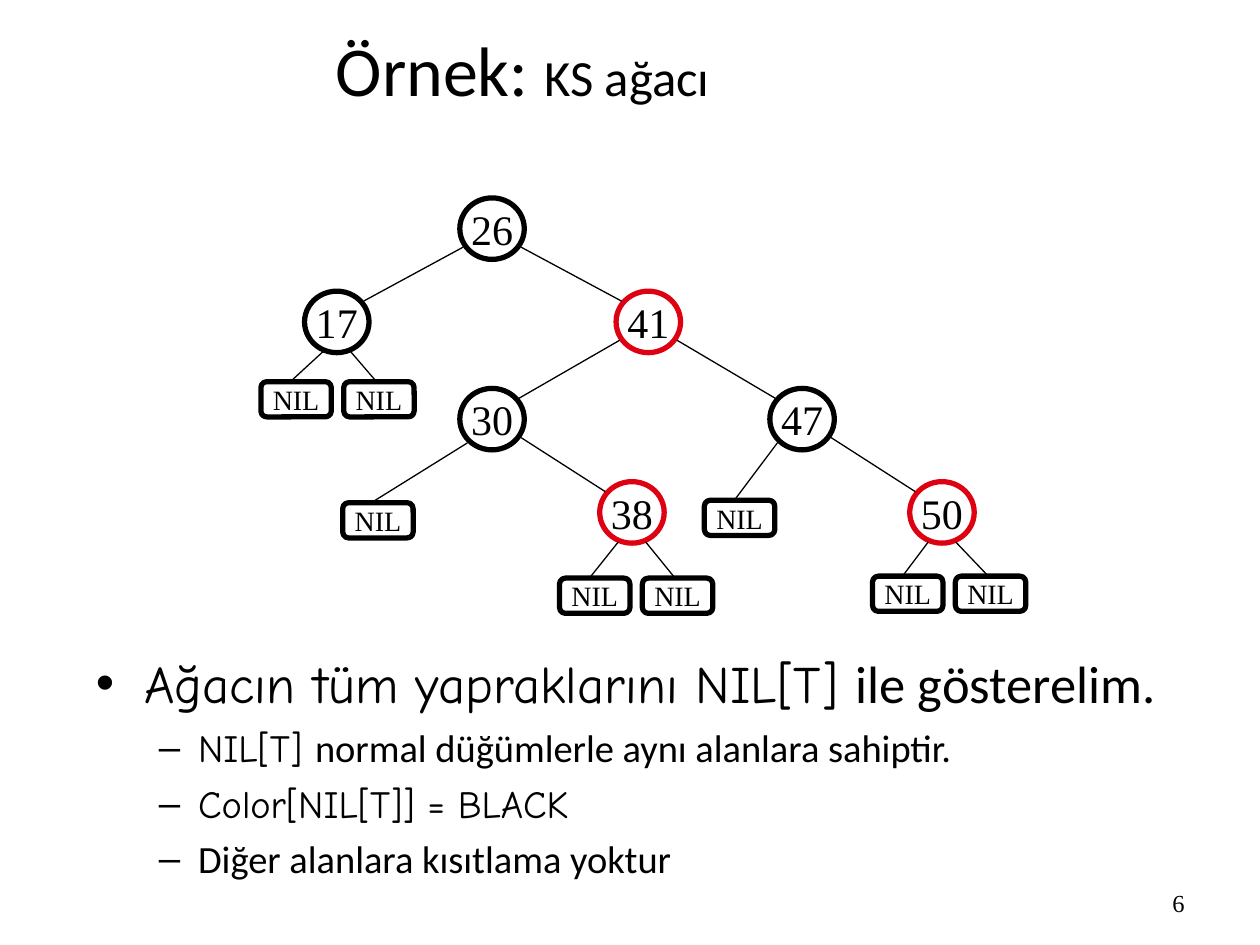
from dataclasses import dataclass

from lxml.etree import SubElement
from pptx import Presentation
from pptx.dml.color import RGBColor
from pptx.enum.shapes import MSO_CONNECTOR, MSO_SHAPE
from pptx.enum.text import MSO_ANCHOR, MSO_AUTO_SIZE, PP_ALIGN
from pptx.oxml.ns import qn
from pptx.util import Cm, Pt


@dataclass(frozen=True)
class Theme:
    """Colours, fonts, type sizes and line widths of the slide."""

    black: RGBColor = RGBColor(0x00, 0x00, 0x00)
    red: RGBColor = RGBColor(0xDD, 0x01, 0x11)
    sans: str = "Calibri"
    hand: str = "Comic Neue"
    serif: str = "Times New Roman"
    title: int = 40
    subtitle: int = 29
    bullet: int = 30
    detail: int = 22
    key: int = 24
    nil: int = 16
    page: int = 14
    outline: float = 3
    edge: float = 0.75


THEME = Theme()

KEYS = {
    "26": (9.92, 4.61, THEME.black),
    "17": (6.79, 6.49, THEME.black),
    "41": (13.07, 6.49, THEME.red),
    "30": (9.92, 8.45, THEME.black),
    "47": (16.17, 8.45, THEME.black),
    "38": (12.74, 10.33, THEME.red),
    "50": (18.99, 10.33, THEME.red),
}
CHILDREN = {"26": ("17", "41"), "41": ("30", "47"), "30": ("38",), "47": ("50",)}
NIL_PAIRS = {"17": (5.97, 8.05), "38": (11.99, 12.01), "50": (18.3, 11.97)}
SINGLE_NILS = {"30": (7.62, 10.49), "47": (14.91, 10.44)}
NIL_PITCH = 1.67
KEY_SIZE = (1.3, 1.24)
NIL_SIZE = (1.42, 0.71)

BULLETS = (
    (0, (("Ağacın tüm yapraklarını NIL[T] ", THEME.hand), ("ile gösterelim.", THEME.sans))),
    (1, (("NIL[T] ", THEME.hand), ("normal düğümlerle aynı alanlara sahiptir.", THEME.sans))),
    (1, (("Color[NIL[T]] = BLACK", THEME.hand),)),
    (1, (("Diğer alanlara kısıtlama yoktur", THEME.sans),)),
)
LEVELS = (
    (THEME.bullet, 7.5, 0.97, -0.97),
    (THEME.detail, 5.5, 2.06, -0.79),
)


def add_run(paragraph, text, font, size):
    """Append one black run to a paragraph."""
    run = paragraph.add_run()
    run.text = text
    run.font.name = font
    run.font.size = Pt(size)
    run.font.color.rgb = THEME.black


def place(placeholder, left, top, width, height):
    """Move a placeholder and keep its text at full size."""
    placeholder.left, placeholder.top = Cm(left), Cm(top)
    placeholder.width, placeholder.height = Cm(width), Cm(height)
    placeholder.text_frame.auto_size = MSO_AUTO_SIZE.NONE


def write_title(title):
    """Fill the title placeholder."""
    place(title, 0, 0.43, 21.08, 1.91)
    title.text_frame.vertical_anchor = MSO_ANCHOR.MIDDLE
    heading = title.text_frame.paragraphs[0]
    heading.alignment = PP_ALIGN.CENTER
    add_run(heading, "Örnek: ", THEME.sans, THEME.title)
    add_run(heading, "KS ağacı", THEME.sans, THEME.subtitle)


def write_bullets(body):
    """Fill the body placeholder with the two-level list."""
    place(body, 1.68, 13, 23.72, 5.18)
    frame = body.text_frame
    for index, (level, pieces) in enumerate(BULLETS):
        size, gap, margin, indent = LEVELS[level]
        item = frame.add_paragraph() if index else frame.paragraphs[0]
        item.level = level
        item.space_before = Pt(gap)
        properties = item._p.get_or_add_pPr()
        properties.set("marL", str(Cm(margin)))
        properties.set("indent", str(Cm(indent)))
        for text, font in pieces:
            add_run(item, text, font, size)


def add_node(slide, preset, center, size, label, label_size, color):
    """Draw an outlined tree node around its centre."""
    (x, y), (width, height) = center, size
    node = slide.shapes.add_shape(
        preset, Cm(x - width / 2), Cm(y - height / 2), Cm(width), Cm(height)
    )
    node.shadow.inherit = False
    node.fill.background()
    node.line.color.rgb = color
    node.line.width = Pt(THEME.outline)
    frame = node.text_frame
    frame.word_wrap = False
    frame.vertical_anchor = MSO_ANCHOR.MIDDLE
    frame.paragraphs[0].alignment = PP_ALIGN.CENTER
    add_run(frame.paragraphs[0], label, THEME.serif, label_size)


def add_edge(slide, start, end):
    """Draw a thin straight edge between two points."""
    edge = slide.shapes.add_connector(
        MSO_CONNECTOR.STRAIGHT, *(Cm(value) for value in (*start, *end))
    )
    edge.line.color.rgb = THEME.black
    edge.line.width = Pt(THEME.edge)
    SubElement(edge._element.spPr, qn("a:effectLst"))


def add_key_edge(slide, parent, child):
    """Join a key to a child key, rim to rim."""
    (px, py, _), (cx, cy, _) = KEYS[parent], KEYS[child]
    side = 1 if cx > px else -1
    add_edge(slide, (px + side * 0.58, py + 0.37), (cx - side * 0.54, cy - 0.42))


def add_nil(slide, parent, center, departure):
    """Draw a NIL leaf and the edge from its parent."""
    (px, py, _), (x, y), (dx, dy) = KEYS[parent], center, departure
    add_node(slide, MSO_SHAPE.ROUNDED_RECTANGLE, center, NIL_SIZE, "NIL", THEME.nil, THEME.black)
    side = 1 if x > px else -1
    add_edge(slide, (px + side * dx, py + dy), (x - 0.08, y - 0.39))


def add_tree(slide):
    """Draw keys, edges and NIL leaves."""
    for key, (x, y, color) in KEYS.items():
        add_node(slide, MSO_SHAPE.OVAL, (x, y), KEY_SIZE, key, THEME.key, color)
    for parent, children in CHILDREN.items():
        for child in children:
            add_key_edge(slide, parent, child)
    for parent, (x, y) in NIL_PAIRS.items():
        for center in ((x, y), (x + NIL_PITCH, y)):
            add_nil(slide, parent, center, (0.28, 0.6))
    for parent, center in SINGLE_NILS.items():
        add_nil(slide, parent, center, (0.5, 0.48))


def add_page_number(slide):
    """Write the page number at the lower right."""
    footer = slide.shapes.add_textbox(Cm(18.21), Cm(17.78), Cm(5.92), Cm(0.89))
    footer.text_frame.word_wrap = True
    number = footer.text_frame.paragraphs[0]
    number.alignment = PP_ALIGN.RIGHT
    add_run(number, "6", THEME.serif, THEME.page)


def main():
    """Build and save the slide."""
    deck = Presentation()
    deck.slide_width, deck.slide_height = Cm(25.4), Cm(19.05)
    slide = deck.slides.add_slide(deck.slide_layouts[1])
    write_title(slide.shapes.title)
    write_bullets(slide.placeholders[1])
    add_tree(slide)
    add_page_number(slide)
    deck.save("out.pptx")


if __name__ == "__main__":
    main()
